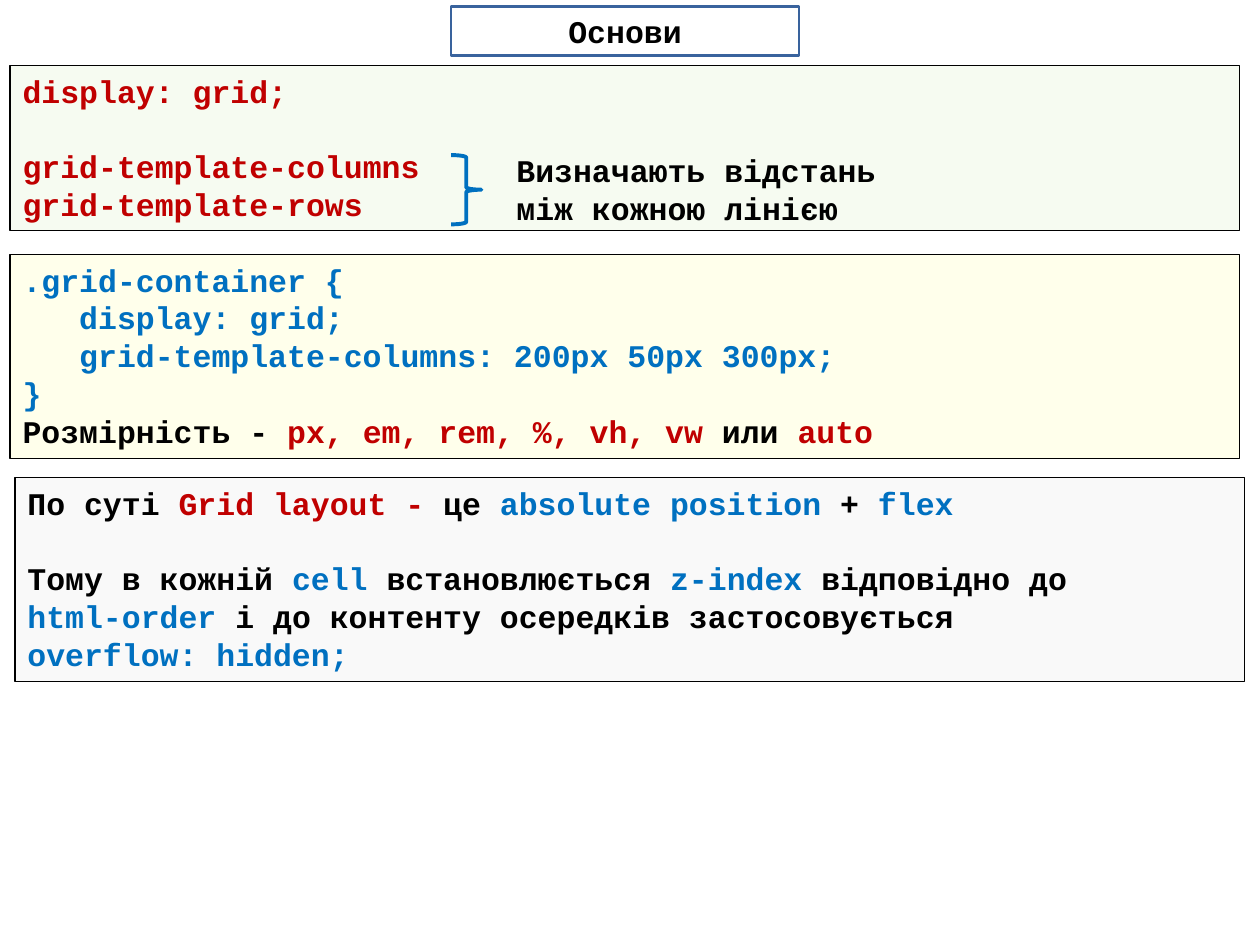
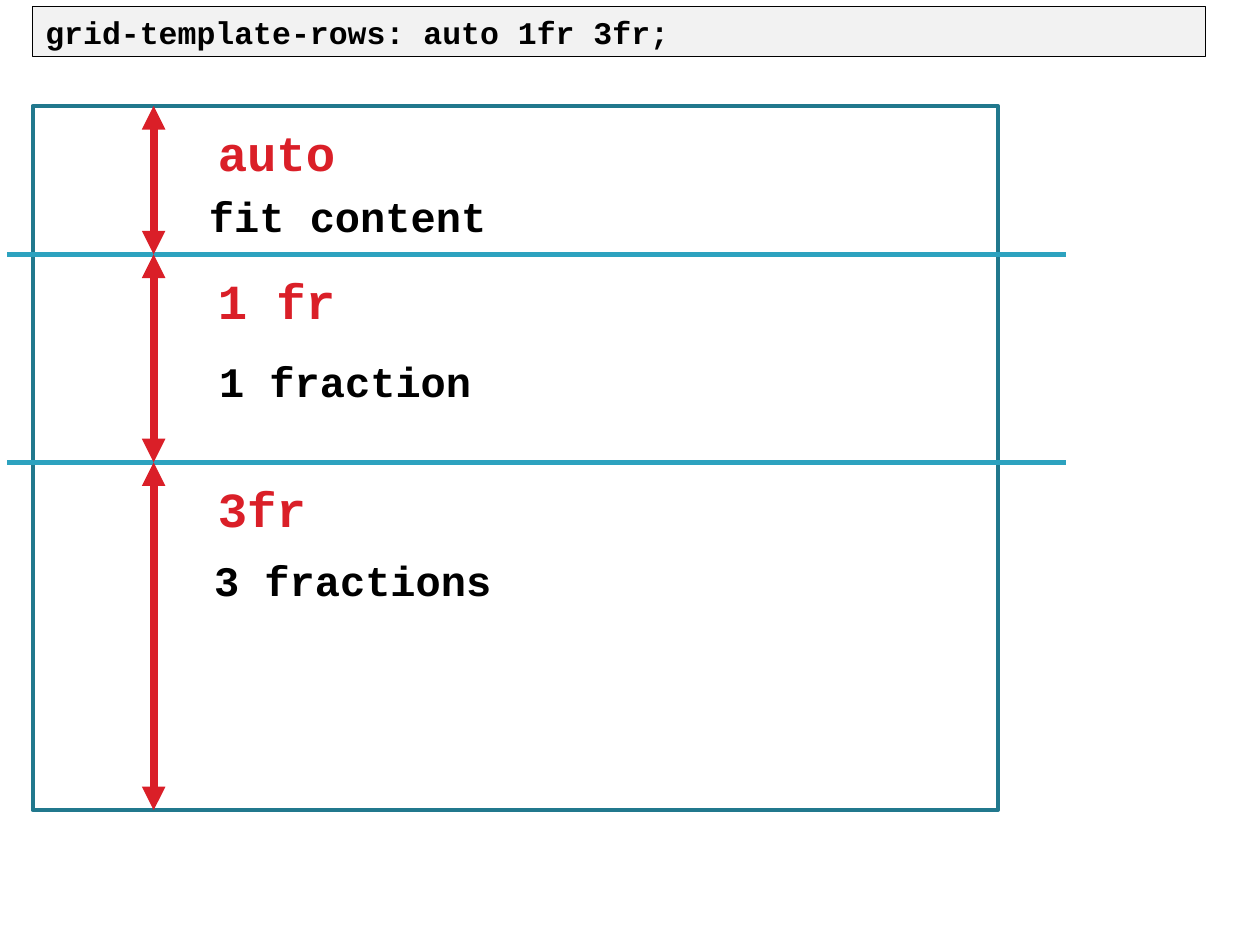
import pptx
import pptx.dml.color
import pptx.enum.shapes
import pptx.enum.text
import pptx.oxml.ns
import pptx.util
from lxml import etree

Pt = pptx.util.Pt
Shape = pptx.enum.shapes.MSO_SHAPE
Align = pptx.enum.text.PP_ALIGN
Anchor = pptx.enum.text.MSO_ANCHOR

FONT = "Courier New"
LINE_FACTOR = 1.2
CODE_SIZE = 18
CODE_LINE = CODE_SIZE * LINE_FACTOR
CODE_INDENT = 3 * 0.6 * CODE_SIZE
TITLE_ONLY = 5

BLACK, WHITE, GREY = "000000", "FFFFFF", "F2F2F2"
DARK_RED, BLUE, TITLE_BLUE = "C00000", "0070C0", "39639D"
RED, TEAL, DARK_TEAL = "DA1F28", "2DA2BF", "21788D"

# A line of text is a list of (words, colour) runs; options may follow it.
GAP = {"before": CODE_LINE}
INDENT = {"indent": CODE_INDENT}

BASICS_TITLE = "Основи"
PANELS = [
    {"at": (5.8, 37.4, 702.7, 94.3), "tint": "92D050", "lines": [
        ([("display: grid;", DARK_RED)], {}),
        ([("grid-template-columns", DARK_RED)], GAP),
        ([("grid-template-rows", DARK_RED)], {}),
    ]},
    {"at": (5.8, 145.4, 702.7, 116.6), "tint": "FFFF00", "lines": [
        ([(".grid-container {", BLUE)], {}),
        ([("display: grid;", BLUE)], INDENT),
        ([("grid-template-columns: 200px 50px 300px;", BLUE)], INDENT),
        ([("}", BLUE)], {}),
        ([("Розмірність - ", BLACK), ("px, em, rem, %, vh, vw ", DARK_RED),
          ("или ", BLACK), ("auto", DARK_RED)], {}),
    ]},
    {"at": (8.6, 272.9, 702.7, 116.6), "tint": "B5B5B5", "lines": [
        ([("По суті ", BLACK), ("Grid layout - ", DARK_RED), ("це ", BLACK),
          ("absolute position", BLUE), (" + ", BLACK), ("flex", BLUE)], {}),
        ([("Тому в кожній ", BLACK), ("cell ", BLUE), ("встановлюється ", BLACK),
          ("z-index ", BLUE), ("відповідно до", BLACK)], GAP),
        ([("html-order ", BLUE),
          ("і до контенту осередків застосовується", BLACK)], {}),
        ([("overflow: hidden;", BLUE)], {}),
    ]},
]
BRACE_AT = (257.8, 88.6, 17.3, 39.6)
BRACE_NOTE_AT = (288, 82.8, 408.2, 51.1)
BRACE_NOTE = ["Визначають відстань", "між кожною лінією"]

ROWS_TITLE = "grid-template-rows: auto 1fr 3fr;"
ROW_EDGES = [60.5, 145.4, 264.2, 463]
ROWS = [  # label, label width, note, note place
    ("auto", 82.1, "fit content", (112.3, 105.1, 174.2, 36)),
    ("1 fr", 82.1, "1 fraction", (118.1, 199.4, 159.8, 36)),
    ("3fr", 65.5, "3 fractions", (115.2, 313.2, 174.2, 36)),
]
GRID_LEFT, GRID_WIDTH = 18.7, 551.5
RULE_LEFT, RULE_RIGHT = 4.3, 609.1
ARROW_X, LABEL_X = 87.8, 117.4


def colour(value):
    return pptx.dml.color.RGBColor.from_string(value)


def plain(words, text_colour=BLACK):
    return ([(words, text_colour)], {})


def write_text(box, lines, size=CODE_SIZE, align=Align.LEFT, anchor=Anchor.TOP, wrap=True):
    frame = box.text_frame
    frame.auto_size = pptx.enum.text.MSO_AUTO_SIZE.NONE
    frame.word_wrap = wrap
    frame.vertical_anchor = anchor
    for index, (runs, options) in enumerate(lines):
        para = frame.paragraphs[0] if index == 0 else frame.add_paragraph()
        para.alignment = align
        para.line_spacing = Pt(size * LINE_FACTOR)
        para.space_before = Pt(options.get("before", 0))
        if "indent" in options:
            para._p.get_or_add_pPr().set("marL", str(Pt(options["indent"])))
        for words, text_colour in runs:
            span = para.add_run()
            span.text = words
            span.font.name = FONT
            span.font.size = Pt(size)
            span.font.bold = True
            span.font.color.rgb = colour(text_colour)


def add_drawing_tag(parent, tag, **attributes):
    return etree.SubElement(parent, pptx.oxml.ns.qn(tag), **attributes)


def paint(shape, fill, line, width, opacity=None):
    """Set fill and outline; opacity is a percentage, and no fill means hollow."""
    shape.shadow.inherit = False
    if fill:
        shape.fill.solid()
        shape.fill.fore_color.rgb = colour(fill)
    else:
        shape.fill.background()
    if opacity:
        solid = shape._element.spPr.find(pptx.oxml.ns.qn("a:solidFill"))
        add_drawing_tag(solid[0], "a:alpha", val=str(opacity * 1000))
    shape.line.color.rgb = colour(line)
    shape.line.width = Pt(width)


def add_shape(page, kind, at, fill, line, width, opacity=None):
    shape = page.shapes.add_shape(kind, *map(Pt, at))
    paint(shape, fill, line, width, opacity)
    return shape


def add_text(page, at, lines, **text_format):
    write_text(page.shapes.add_textbox(*map(Pt, at)), lines, **text_format)


def add_line(page, start, end, line, width, arrows=False):
    connector = page.shapes.add_connector(
        pptx.enum.shapes.MSO_CONNECTOR.STRAIGHT, *map(Pt, start + end))
    connector.line.color.rgb = colour(line)
    connector.line.width = Pt(width)
    if arrows:
        for tag in ("a:headEnd", "a:tailEnd"):
            add_drawing_tag(connector.line._get_or_add_ln(), tag, type="triangle")
    add_drawing_tag(connector._element.spPr, "a:effectLst")


def add_page(deck, title, at, fill, line, width, **text_format):
    page = deck.slides.add_slide(deck.slide_layouts[TITLE_ONLY])
    box = page.shapes.title
    box.left, box.top, box.width, box.height = map(Pt, at)
    paint(box, fill, line, width)
    write_text(box, [plain(title)], **text_format)
    return page


def build_basics(deck):
    page = add_page(deck, BASICS_TITLE, (257.8, 3.6, 198.7, 28.1), WHITE, TITLE_BLUE, 1.5,
                    align=Align.CENTER, anchor=Anchor.MIDDLE)
    for panel in PANELS:
        box = add_shape(page, Shape.RECTANGLE, panel["at"], panel["tint"], BLACK, 0.75, opacity=8)
        write_text(box, panel["lines"])
    add_shape(page, Shape.RIGHT_BRACE, BRACE_AT, None, BLUE, 2.25)
    add_text(page, BRACE_NOTE_AT, [plain(words) for words in BRACE_NOTE])


def build_rows(deck):
    page = add_page(deck, ROWS_TITLE, (18.7, 3.6, 670.3, 28.8), GREY, BLACK, 0.75)
    top, bottom = ROW_EDGES[0], ROW_EDGES[-1]
    add_shape(page, Shape.RECTANGLE, (GRID_LEFT, top, GRID_WIDTH, bottom - top),
              None, DARK_TEAL, 2.25)
    for edge in ROW_EDGES[1:-1]:
        add_line(page, (RULE_LEFT, edge), (RULE_RIGHT, edge), TEAL, 3)
    for row, start, end in zip(ROWS, ROW_EDGES, ROW_EDGES[1:]):
        label, label_width, note, note_at = row
        add_line(page, (ARROW_X, start), (ARROW_X, end), RED, 4.5, arrows=True)
        add_text(page, (LABEL_X, start + 5.8, label_width, 41), [plain(label, RED)],
                 size=28, wrap=False)
        add_text(page, note_at, [plain(note)], size=24, wrap=False)


def main():
    deck = pptx.Presentation()
    deck.slide_width, deck.slide_height = Pt(720), Pt(540)
    build_basics(deck)
    build_rows(deck)
    deck.save("out.pptx")


if __name__ == "__main__":
    main()
